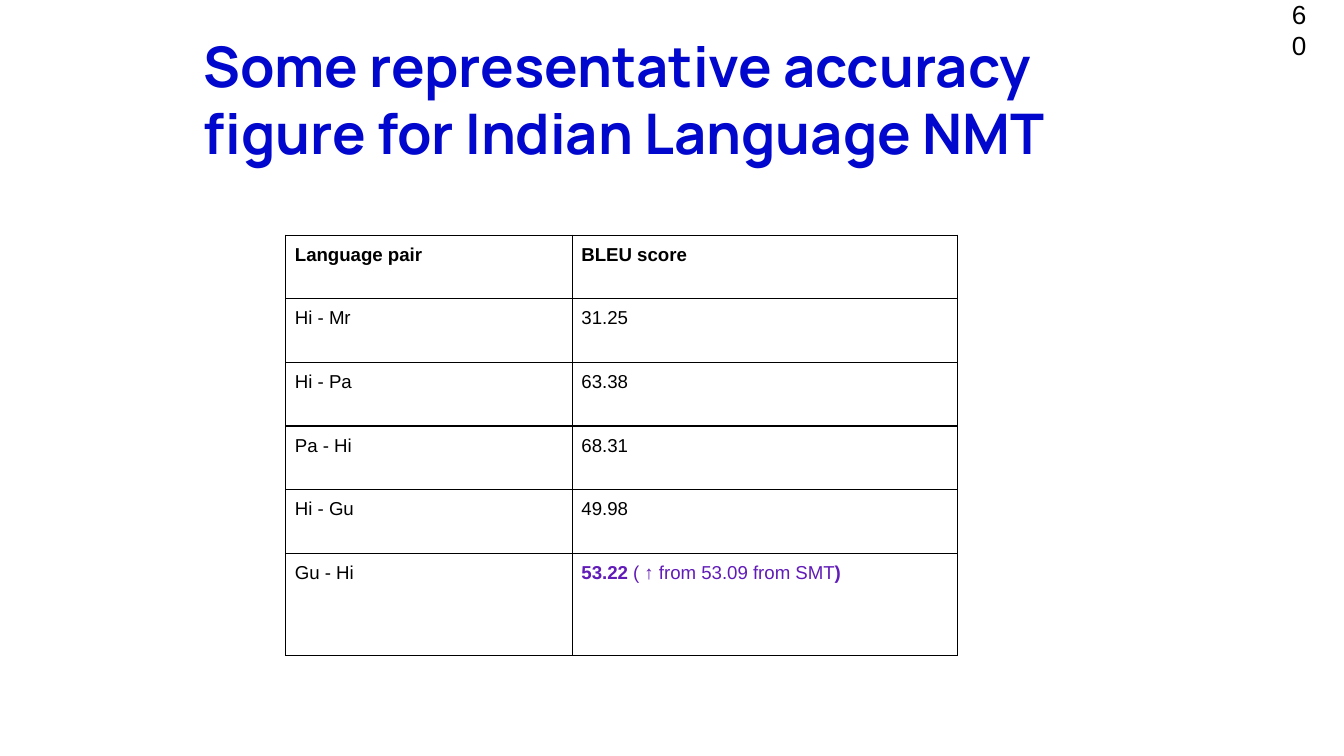
from pptx import Presentation
from pptx.dml.color import RGBColor
from pptx.enum.text import MSO_ANCHOR, MSO_AUTO_SIZE, PP_ALIGN
from pptx.oxml import parse_xml
from pptx.oxml.ns import nsdecls
from pptx.util import Pt

COLORS = {"title": "0207CE", "text": "000000", "highlight": "611BB8"}
SCORES = [
    ("Hi - Mr", "31.25"),
    ("Hi - Pa", "63.38"),
    ("Pa - Hi", "68.31"),
    ("Hi - Gu", "49.98"),
]
BEST_SCORE = [("53.22", True), (" (", False), (" ↑ ", True),
              ("from 53.09 from SMT", False), (")", True)]


def add_text(paragraph, text, size=10, font="Arial", color="text", bold=False):
    run = paragraph.add_run()
    run.text = text
    run.font.size = Pt(size)
    run.font.name = font
    run.font.bold = bold
    run.font.color.rgb = RGBColor.from_string(COLORS[color])


def set_margins(target, margin):
    """Give a text frame or table cell the same margin on all sides."""
    target.margin_left = target.margin_right = Pt(margin)
    target.margin_top = target.margin_bottom = Pt(margin)


def set_borders(cell):
    properties = cell._tc.get_or_add_tcPr()
    for position, side in enumerate(("lnL", "lnR", "lnT", "lnB")):
        properties.insert(position, parse_xml(
            f'<a:{side} {nsdecls("a")} w="{Pt(0.75)}"><a:solidFill>'
            f'<a:srgbClr val="{COLORS["text"]}"/></a:solidFill></a:{side}>'))


def place_title(slide, left, top, width, height):
    title = slide.shapes.title
    title.left, title.top = Pt(left), Pt(top)
    title.width, title.height = Pt(width), Pt(height)
    frame = title.text_frame
    frame.word_wrap = True
    frame.auto_size = MSO_AUTO_SIZE.NONE
    frame.vertical_anchor = MSO_ANCHOR.TOP
    set_margins(frame, 5)
    paragraph = frame.paragraphs[0]
    paragraph.alignment = PP_ALIGN.LEFT
    add_text(paragraph, "Some representative accuracy figure for Indian Language NMT",
             size=30, font="Manrope", color="title", bold=True)


def place_score_table(slide, left, top, width, height):
    rows = [("Language pair", "BLEU score"), *SCORES, ("Gu - Hi", "")]
    table = slide.shapes.add_table(
        len(rows), 2, Pt(left), Pt(top), Pt(width), Pt(height)).table
    pair_width, row_height = 153.5, 34.1
    table.columns[0].width = Pt(pair_width)
    table.columns[1].width = Pt(width - pair_width)
    for row in table.rows:
        row.height = Pt(row_height)
    table.rows[len(rows) - 1].height = Pt(height - row_height * (len(rows) - 1))
    for row_index, row in enumerate(rows):
        for column_index, text in enumerate(row):
            cell = table.cell(row_index, column_index)
            cell.fill.background()
            set_margins(cell, 5)
            set_borders(cell)
            if text:
                add_text(cell.text_frame.paragraphs[0], text, bold=row_index == 0)
    best_paragraph = table.cell(len(rows) - 1, 1).text_frame.paragraphs[0]
    for text, bold in BEST_SCORE:
        add_text(best_paragraph, text, color="highlight", bold=bold)


def place_page_number(slide, left, top, width, height):
    box = slide.shapes.add_textbox(Pt(left), Pt(top), Pt(width), Pt(height))
    frame = box.text_frame
    frame.word_wrap = True
    frame.vertical_anchor = MSO_ANCHOR.MIDDLE
    set_margins(frame, 7.2)
    add_text(frame.paragraphs[0], "60", size=14)


def main():
    presentation = Presentation()
    presentation.slide_width, presentation.slide_height = Pt(720), Pt(405)
    slide = presentation.slides.add_slide(presentation.slide_layouts[5])
    place_title(slide, 104, 12, 503, 34)
    place_score_table(slide, 153, 126, 360, 225.5)
    place_page_number(slide, 685, 6.5, 24.5, 18.7)
    presentation.save("out.pptx")


if __name__ == "__main__":
    main()
